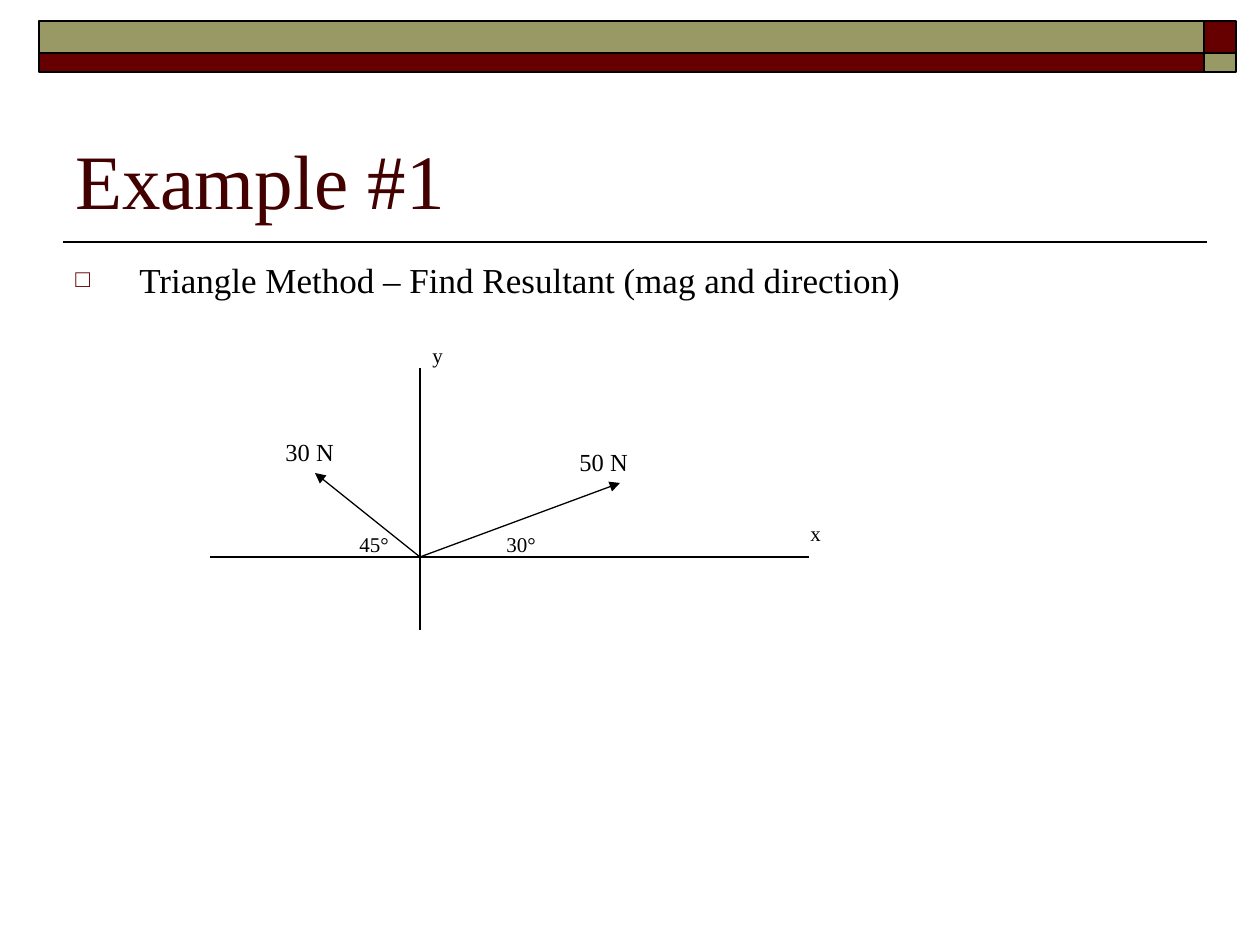
from lxml import etree
from pptx import Presentation
from pptx.dml.color import RGBColor
from pptx.enum.shapes import MSO_CONNECTOR as Conn, MSO_SHAPE as Shape
from pptx.enum.text import MSO_ANCHOR as Anchor, MSO_AUTO_SIZE as Fit
from pptx.oxml.ns import qn
from pptx.util import Pt

SCALE = 914400 / 126
FONT = "Times New Roman"
BLACK, RED, OLIVE, DARK = "000000", "660000", "999966", "420000"


def px(n):
    return round(n * SCALE)


def color(code):
    return RGBColor.from_string(code)


def node(parent, tag, **attrs):
    return etree.SubElement(parent, qn(tag), attrs)


def add_bar(slide, x, y, w, h, fill):
    bar = slide.shapes.add_shape(Shape.RECTANGLE, px(x), px(y), px(w), px(h))
    bar.shadow.inherit = False
    bar.fill.solid()
    bar.fill.fore_color.rgb = color(fill)
    bar.line.color.rgb = color(BLACK)
    bar.line.width = Pt(1)


def add_line(slide, start, end, width=0.75, arrow=False):
    line = slide.shapes.add_connector(
        Conn.STRAIGHT, *(px(n) for n in (*start, *end)))
    line.line.color.rgb = color(BLACK)
    line.line.width = Pt(width)
    if arrow:
        node(line.line._get_or_add_ln(), "a:tailEnd", type="triangle")
    node(line._element.spPr, "a:effectLst")


def add_text(slide, text, x, y, w, h, size, ink=BLACK, gap=0):
    box = slide.shapes.add_textbox(px(x), px(y), px(w), px(h))
    frame = box.text_frame
    frame.word_wrap = True
    frame.text = text
    para = frame.paragraphs[0]
    font = para.runs[0].font
    font.name = FONT
    font.size = Pt(size)
    font.color.rgb = color(ink)
    if gap:
        space = node(para._p.get_or_add_pPr(), "a:spcBef")
        node(space, "a:spcPct", val=str(gap * 1000))
    return frame


def add_label(slide, text, x, y, w, h, size):
    frame = add_text(slide, text, x, y, w, h, size, gap=50)
    frame.auto_size = Fit.SHAPE_TO_FIT_TEXT


def add_bullet(frame, indent):
    props = frame.paragraphs[0]._p.get_or_add_pPr()
    props.set("marL", str(px(indent)))
    props.set("indent", str(-px(indent)))
    node(node(props, "a:buClr"), "a:srgbClr", val=RED)
    node(props, "a:buSzPct", val="70000")
    node(props, "a:buFont", typeface=FONT)
    node(props, "a:buChar", char="□")


def add_frame(slide):
    add_line(slide, (1207, 242), (63, 242), 1)
    for y, h, fills in ((21, 32, (OLIVE, RED)), (53, 19, (RED, OLIVE))):
        for x, w, fill in zip((39, 1204), (1165, 32), fills):
            add_bar(slide, x, y, w, h, fill)


def add_graph(slide):
    origin = (420, 557)
    add_line(slide, (420, 368), (420, 630))
    add_line(slide, (210, 557), (809, 557))
    for tip in ((620, 483), (315, 473)):
        add_line(slide, origin, tip, arrow=True)
    for text, x, y, w in (("x", 798, 514, 32), ("y", 420, 336, 32),
                          ("30°", 494, 525, 73), ("45°", 347, 525, 73)):
        add_label(slide, text, x, y, w, 38, 12)
    for text, x, y in (("50 N", 567, 441), ("30 N", 273, 431)):
        add_label(slide, text, x, y, 95, 42, 14)


def main():
    deck = Presentation()
    deck.slide_width, deck.slide_height = px(1260), px(945)
    slide = deck.slides.add_slide(deck.slide_layouts[6])
    add_frame(slide)
    title = add_text(slide, "Example #1", 63, 73, 1134, 158, 44, DARK)
    title.vertical_anchor = Anchor.BOTTOM
    body = add_text(slide, "Triangle Method – Find Resultant (mag and direction)",
                    63, 252, 1134, 592, 20, gap=20)
    add_bullet(body, 64)
    add_graph(slide)
    deck.save("out.pptx")


if __name__ == "__main__":
    main()
